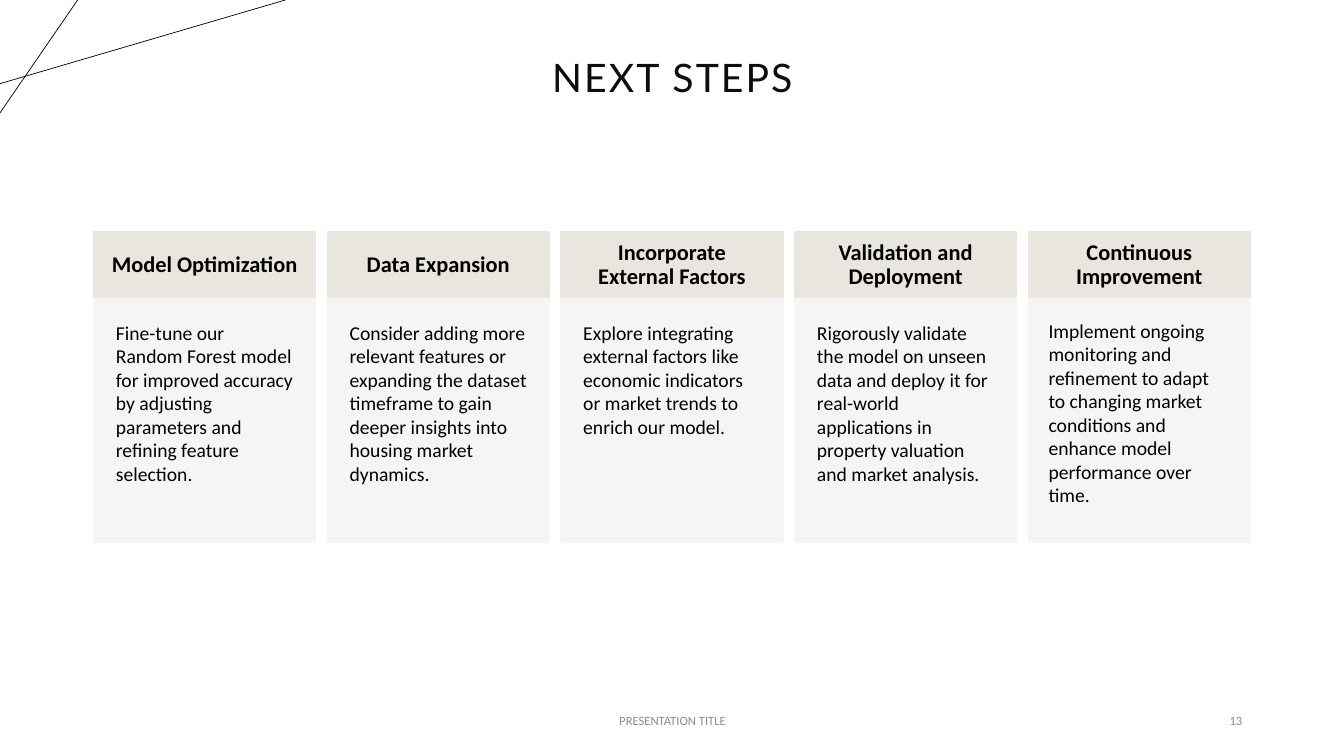
from lxml import etree
from pptx import Presentation
from pptx.dml.color import RGBColor
from pptx.enum.shapes import MSO_CONNECTOR, MSO_SHAPE
from pptx.enum.text import MSO_ANCHOR, PP_ALIGN
from pptx.oxml.ns import qn
from pptx.util import Inches, Pt

TITLE = "NEXT STEPS"
STEPS = [
    ("Model Optimization",
     "Fine-tune our Random Forest model for improved accuracy by adjusting "
     "parameters and refining feature selection.", 0.22),
    ("Data Expansion",
     "Consider adding more relevant features or expanding the dataset timeframe "
     "to gain deeper insights into housing market dynamics.", 0.22),
    ("Incorporate External Factors",
     "Explore integrating external factors like economic indicators or market "
     "trends to enrich our model.", 0.22),
    ("Validation and Deployment",
     "Rigorously validate the model on unseen data and deploy it for real-world "
     "applications in property valuation and market analysis.", 0.22),
    ("Continuous Improvement",
     "Implement ongoing monitoring and refinement to adapt to changing market "
     "conditions and enhance model performance over time.", 0.2),
]
CORNER_LINES = [(0, 0.83, 2.83, 0), (0.77, 0, 0, 1.12)]

LEFT, WIDTH, PITCH = 0.93, 2.2, 2.3175
HEAD_TOP, HEAD_HEIGHT, BODY_HEIGHT = 2.3, 0.66, 2.42

BLACK = RGBColor(0x00, 0x00, 0x00)
INK = RGBColor(0x0D, 0x0D, 0x0D)
GREY = RGBColor(0x8C, 0x8C, 0x8C)
HEAD_FILL = RGBColor(0xE9, 0xE6, 0xDF)
BODY_FILL = RGBColor(0xF7, 0xF5, 0xF3)

CENTER, START, END = PP_ALIGN.CENTER, PP_ALIGN.LEFT, PP_ALIGN.RIGHT
MIDDLE, TOP = MSO_ANCHOR.MIDDLE, MSO_ANCHOR.TOP
RECT, STRAIGHT = MSO_SHAPE.RECTANGLE, MSO_CONNECTOR.STRAIGHT


def write(sp, text, size, color=BLACK, font="Calibri", bold=False, align=START,
          anchor=MIDDLE, inset=None, spacing=1.0, after=0):
    tf = sp.text_frame
    tf.word_wrap = True
    tf.vertical_anchor = anchor
    if inset is not None:
        tf.margin_left = tf.margin_right = Inches(inset)
        tf.margin_top = tf.margin_bottom = Inches(inset)
    p = tf.paragraphs[0]
    p.alignment = align
    p.line_spacing = spacing
    p.space_after = Pt(after)
    r = p.add_run()
    r.text = text
    r.font.name = font
    r.font.size = Pt(size)
    r.font.bold = bold
    r.font.color.rgb = color
    return r


def add_panel(slide, x, y, height, color, alpha=None):
    sp = slide.shapes.add_shape(RECT, Inches(x), Inches(y), Inches(WIDTH), Inches(height))
    sp.shadow.inherit = False
    sp.fill.solid()
    sp.fill.fore_color.rgb = color
    sp.line.color.rgb = color
    sp.line.width = Pt(1)
    if alpha:
        for clr in sp._element.spPr.iter(qn("a:srgbClr")):
            etree.SubElement(clr, qn("a:alpha")).set("val", str(alpha * 1000))
    return sp


def add_footer(slide, text, x, width, align):
    sp = slide.shapes.add_textbox(Inches(x), Inches(6.95), Inches(width), Inches(0.4))
    write(sp, text, 9, color=GREY, align=align)


def main():
    prs = Presentation()
    prs.slide_width, prs.slide_height = Inches(13.33), Inches(7.5)
    slide = prs.slides.add_slide(prs.slide_layouts[5])

    for x1, y1, x2, y2 in CORNER_LINES:
        line = slide.shapes.add_connector(
            STRAIGHT, Inches(x1), Inches(y1), Inches(x2), Inches(y2))
        line.line.color.rgb = BLACK
        line.line.width = Pt(0.5)
        etree.SubElement(line._element.spPr, qn("a:effectLst"))

    title = slide.shapes.title
    title.left, title.top = Inches(0.92), Inches(0.4)
    title.width, title.height = Inches(11.5), Inches(0.78)
    r = write(title, TITLE, 28, color=INK, font="Lato", align=CENTER, spacing=0.9)
    r.font._element.set("spc", "150")

    for i, (heading, detail, inset) in enumerate(STEPS):
        x = LEFT + i * PITCH
        head = add_panel(slide, x, HEAD_TOP, HEAD_HEIGHT, HEAD_FILL)
        write(head, heading, 16, bold=True, align=CENTER, inset=0.17, spacing=0.9, after=5.6)
        body = add_panel(slide, x, HEAD_TOP + HEAD_HEIGHT, BODY_HEIGHT, BODY_FILL, alpha=90)
        write(body, detail, 14, anchor=TOP, inset=inset, after=4.9)

    add_footer(slide, "PRESENTATION TITLE", 4.42, 4.5, CENTER)
    add_footer(slide, "13", 9.42, 3, END)
    prs.save("out.pptx")


if __name__ == "__main__":
    main()
